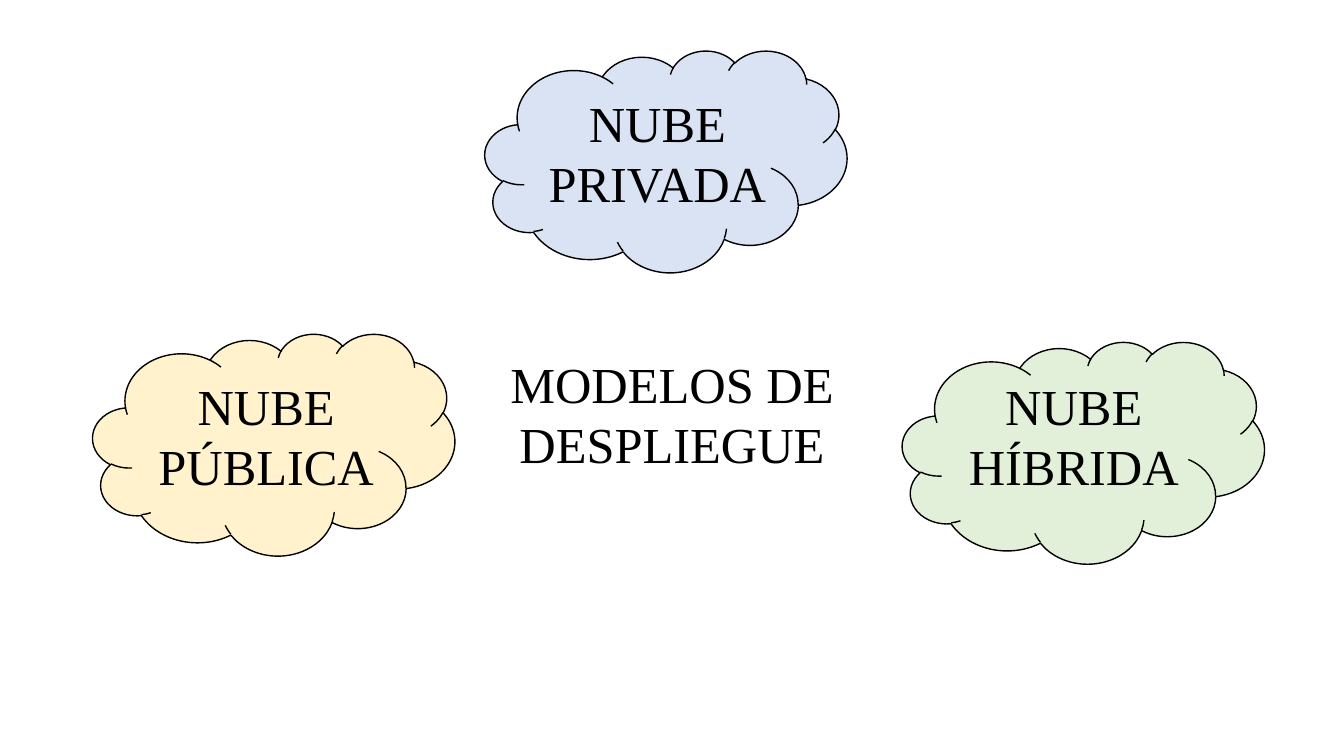
from pptx import Presentation
from pptx.dml.color import RGBColor
from pptx.enum import shapes, text
from pptx.util import Inches, Pt

BLACK = RGBColor(0x00, 0x00, 0x00)
YELLOW = RGBColor(0xFF, 0xF2, 0xCC)
BLUE = RGBColor(0xDA, 0xE3, 0xF3)
GREEN = RGBColor(0xE2, 0xF0, 0xD9)

CLOUD_WIDTH, CLOUD_HEIGHT = Inches(3.59), Inches(2.2)
LABEL_WIDTH, LABEL_HEIGHT = Inches(2.82), Inches(1.31)


def write_label(shape, wording):
    """Put centred 36 pt black wording into a shape."""
    frame = shape.text_frame
    frame.text = wording
    frame.word_wrap = True
    frame.auto_size = text.MSO_AUTO_SIZE.SHAPE_TO_FIT_TEXT
    frame.vertical_anchor = text.MSO_ANCHOR.TOP
    paragraph = frame.paragraphs[0]
    paragraph.alignment = text.PP_ALIGN.CENTER
    font = paragraph.runs[0].font
    font.name = "Times New Roman"
    font.size = Pt(36)
    font.color.rgb = BLACK


presentation = Presentation()
presentation.slide_width = Inches(13.33)
presentation.slide_height = Inches(7.5)
slide = presentation.slides.add_slide(presentation.slide_layouts.get_by_name("Title Only"))

title = slide.shapes.title
title.left, title.top = Inches(4.87), Inches(3.45)
title.width, title.height = CLOUD_WIDTH, LABEL_HEIGHT
write_label(title, "MODELOS DE DESPLIEGUE")

# Wording, fill, cloud left and top, label left and top
clouds = [
    ("NUBE PÚBLICA", YELLOW, 0.92, 3.31, 1.23, 3.67),
    ("NUBE PRIVADA", BLUE, 4.81, 0.5, 5.11, 0.86),
    ("NUBE HÍBRIDA", GREEN, 8.95, 3.39, 9.24, 3.67),
]
for wording, fill, cloud_left, cloud_top, label_left, label_top in clouds:
    cloud = slide.shapes.add_shape(
        shapes.MSO_SHAPE.CLOUD, Inches(cloud_left), Inches(cloud_top), CLOUD_WIDTH, CLOUD_HEIGHT
    )
    cloud.shadow.inherit = False
    cloud.fill.solid()
    cloud.fill.fore_color.rgb = fill
    cloud.line.color.rgb = BLACK
    cloud.line.width = Pt(1)

    label = slide.shapes.add_textbox(
        Inches(label_left), Inches(label_top), LABEL_WIDTH, LABEL_HEIGHT
    )
    write_label(label, wording)

presentation.save("out.pptx")
